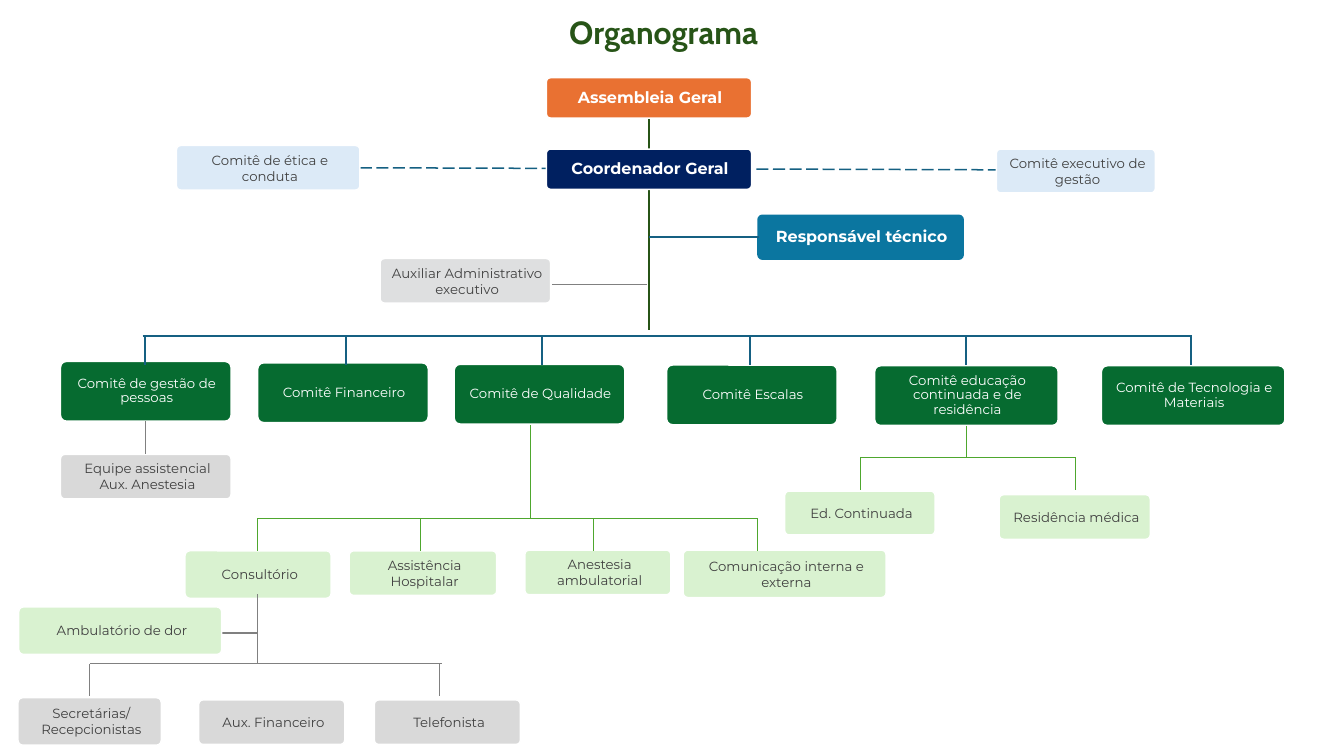
from lxml import etree
from pptx import Presentation
from pptx import util as u
from pptx.dml.color import RGBColor
from pptx.enum import dml, shapes, text
from pptx.oxml import ns

WHITE = RGBColor(0xFF, 0xFF, 0xFF)
CHARCOAL = RGBColor(0x40, 0x40, 0x40)
ORANGE = RGBColor(0xE9, 0x71, 0x32)
NAVY = RGBColor(0x00, 0x20, 0x60)
BLUE = RGBColor(0x0B, 0x76, 0xA0)
PALE_BLUE = RGBColor(0xDC, 0xEA, 0xF7)
GREEN = RGBColor(0x06, 0x6B, 0x30)
PALE_GREEN = RGBColor(0xD9, 0xF2, 0xD0)
PALE_GREY = RGBColor(0xDE, 0xDF, 0xE0)
LIGHT_GREY = RGBColor(0xD9, 0xD9, 0xD9)
FOREST = RGBColor(0x27, 0x54, 0x17)
TEAL = RGBColor(0x15, 0x60, 0x82)
LEAF = RGBColor(0x4E, 0xA7, 0x2E)
GREY = RGBColor(0x80, 0x80, 0x80)

LEAD = {"font": {"size": u.Pt(16), "bold": True}, "color": WHITE,
        "paragraph": {"line_spacing": 0.9, "space_after": u.Pt(7.5)},
        "insets": (0.12, 0.12, 0.09, 0.12)}
COMMITTEE = {**LEAD, "font": {"size": u.Pt(13.3), "bold": False}}
STAFF = {"font": {"size": u.Pt(13.3), "bold": False}, "color": CHARCOAL,
         "paragraph": {}, "insets": (0.11, 0.11, 0.06, 0.11)}

# label, left, top, width, height, fill, style, outline
TOP_LEVELS = [
    ("Assembleia Geral", 7.59, 1.08, 2.85, 0.56, ORANGE, LEAD, WHITE),
    ("Coordenador Geral", 7.59, 2.07, 2.85, 0.56, NAVY, LEAD, WHITE),
    ("Responsável técnico", 10.53, 2.99, 2.85, 0.61, BLUE, LEAD, BLUE),
]
# label, left, top, width
COMMITTEES = [
    ("Comitê de gestão de pessoas", 0.84, 5.02, 2.37),
    ("Comitê Financeiro", 3.58, 5.04, 2.37),
    ("Comitê de Qualidade", 6.31, 5.06, 2.37),
    ("Comitê Escalas", 9.26, 5.07, 2.37),
    ("Comitê educação continuada e de residência", 12.15, 5.08, 2.55),
    ("Comitê de Tecnologia e Materiais", 15.3, 5.08, 2.55),
]
# fill: label, left, top, width, height
TEAMS = {
    PALE_BLUE: [
        ("Comitê de ética e conduta", 2.45, 2.02, 2.55, 0.62),
        ("Comitê executivo de gestão", 13.84, 2.07, 2.21, 0.61),
    ],
    PALE_GREY: [("Auxiliar Administrativo executivo", 5.28, 3.59, 2.37, 0.62)],
    PALE_GREEN: [
        ("Ed. Continuada", 10.9, 6.82, 2.09, 0.61),
        ("Residência médica", 13.88, 6.87, 2.1, 0.62),
        ("Consultório", 2.57, 7.65, 2.03, 0.66),
        ("Assistência Hospitalar", 4.85, 7.65, 2.05, 0.62),
        ("Anestesia ambulatorial", 7.29, 7.64, 2.03, 0.62),
        ("Comunicação interna e externa", 9.49, 7.64, 2.82, 0.66),
        ("Ambulatório de dor", 0.26, 8.43, 2.82, 0.66),
    ],
    LIGHT_GREY: [
        ("Equipe assistencial\nAux. Anestesia", 0.84, 6.31, 2.37, 0.62),
        ("Secretárias/ Recepcionistas", 0.25, 9.69, 1.99, 0.66),
        ("Aux. Financeiro", 2.76, 9.72, 2.03, 0.62),
        ("Telefonista", 5.2, 9.72, 2.03, 0.62),
    ],
}


def apply(target, values):
    for name, value in values.items():
        setattr(target, name, value)


class OrgChart:
    def __init__(self, slide, font="Montserrat"):
        self.slide = slide
        self.font = font

    def title(self, label, left, top, width, height):
        heading = self.slide.shapes.title
        apply(heading, {"left": u.Inches(left), "top": u.Inches(top),
                        "width": u.Inches(width), "height": u.Inches(height)})
        frame = heading.text_frame
        frame.text = label
        apply(frame, {"word_wrap": True, "auto_size": text.MSO_AUTO_SIZE.NONE,
                      "vertical_anchor": text.MSO_ANCHOR.TOP})
        paragraph = frame.paragraphs[0]
        paragraph.alignment = text.PP_ALIGN.CENTER
        apply(paragraph.font, {"name": "Cabin", "size": u.Pt(32), "bold": True})
        paragraph.font.color.rgb = FOREST

    def box(self, label, left, top, width, height, fill, style, outline=WHITE):
        unit = self.slide.shapes.add_shape(
            shapes.MSO_SHAPE.ROUNDED_RECTANGLE,
            *map(u.Inches, (left, top, width, height)))
        unit.adjustments[0] = 0.1
        unit.shadow.inherit = False
        unit.fill.solid()
        unit.fill.fore_color.rgb = fill
        unit.line.color.rgb = outline
        unit.line.width = u.Pt(1.5)
        frame = unit.text_frame
        frame.text = label
        sides = ("margin_left", "margin_top", "margin_right", "margin_bottom")
        apply(frame, dict(zip(sides, map(u.Inches, style["insets"]))))
        apply(frame, {"word_wrap": True, "vertical_anchor": text.MSO_ANCHOR.MIDDLE})
        for paragraph in frame.paragraphs:
            apply(paragraph, {"alignment": text.PP_ALIGN.CENTER, **style["paragraph"]})
            apply(paragraph.font, {"name": self.font, **style["font"]})
            paragraph.font.color.rgb = style["color"]

    def line(self, x1, y1, x2, y2, color, width=1.0, dash=None):
        link = self.slide.shapes.add_connector(
            shapes.MSO_CONNECTOR.STRAIGHT, *map(u.Inches, (x1, y1, x2, y2)))
        link.line.color.rgb = color
        link.line.width = u.Pt(width)
        if dash:
            link.line.dash_style = dash
        etree.SubElement(link._element.spPr, ns.qn("a:effectLst"))

    def branch(self, left, right, y, drops, length, color, width=1.0):
        """Draw a horizontal bar with a vertical drop at each x in drops."""
        self.line(left, y, right, y, color, width)
        for x in drops:
            self.line(x, y, x, y + length, color, width)


def main():
    deck = Presentation()
    deck.slide_width, deck.slide_height = u.Inches(18.67), u.Inches(10.5)
    chart = OrgChart(deck.slides.add_slide(deck.slide_layouts[5]))
    chart.title("Organograma", 5.23, 0.13, 7.98, 0.64)

    # Links that run behind the boxes
    chart.line(2.91, 8.79, 3.59, 8.79, GREY, 1.5)
    chart.line(7.37, 5.77, 7.37, 7.21, LEAF)
    chart.line(5, 2.33, 14.26, 2.36, TEAL, 1.5, dml.MSO_LINE.LONG_DASH)
    chart.line(9.02, 1.51, 9.02, 4.59, FOREST, 2)

    for unit in TOP_LEVELS:
        chart.box(*unit)
    for label, left, top, width in COMMITTEES:
        chart.box(label, left, top, width, 0.83, GREEN, COMMITTEE)
    for fill, teams in TEAMS.items():
        for team in teams:
            chart.box(*team, fill, STAFF)

    # Links that run in front of the boxes
    chart.line(9.02, 3.29, 10.55, 3.29, TEAL, 1.5)
    chart.line(7.67, 3.95, 8.99, 3.95, GREY, 1.5)
    chart.line(2.02, 5.85, 2.02, 6.31, GREY)
    chart.line(13.42, 5.91, 13.42, 6.36, LEAF)
    chart.line(3.58, 8.25, 3.58, 9.22, GREY)
    chart.branch(1.98, 16.56, 4.66, (2.01, 4.8, 7.53, 10.42, 13.42, 16.54),
                 0.41, TEAL, 2)
    chart.branch(11.96, 14.94, 6.35, (11.96, 14.94), 0.46, LEAF)
    chart.branch(3.58, 10.52, 7.2, (3.58, 5.84, 8.25, 10.52), 0.45, LEAF)
    chart.branch(1.25, 6.14, 9.22, (1.25, 6.11), 0.45, GREY)

    deck.save("out.pptx")


if __name__ == "__main__":
    main()
